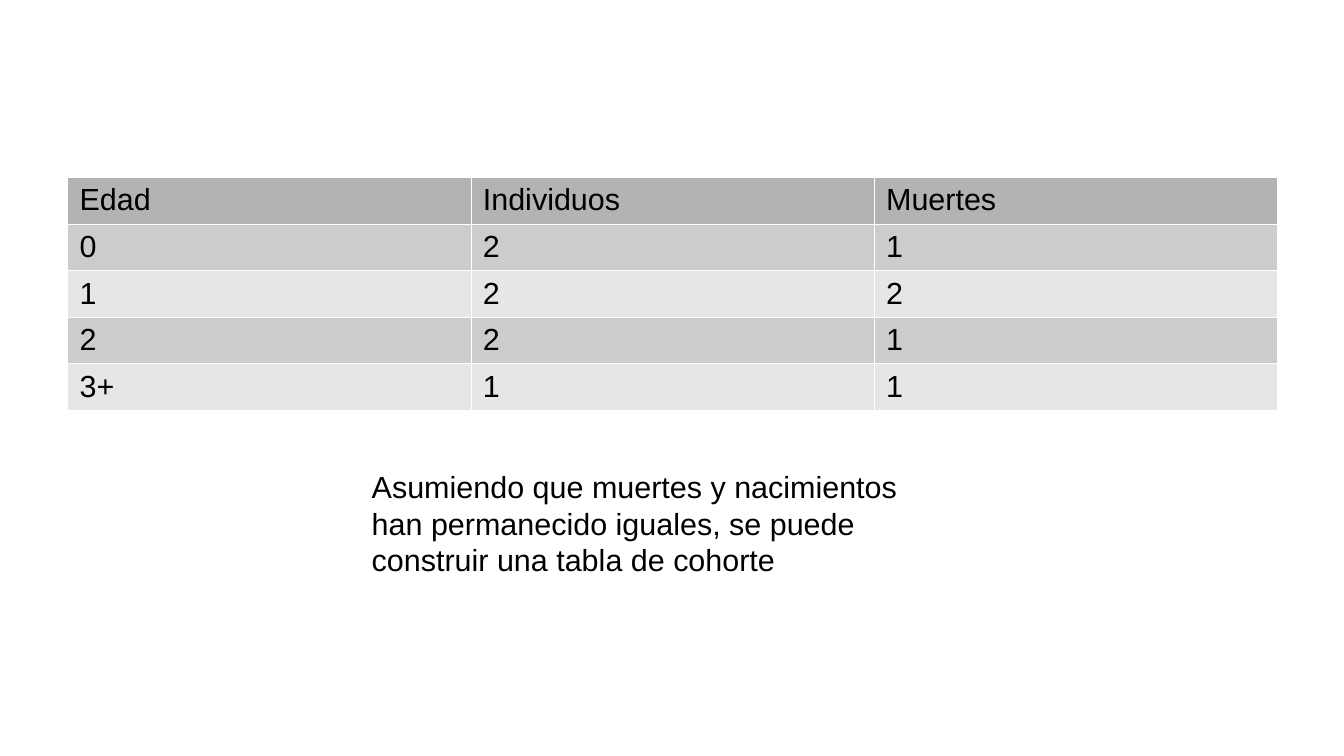
from lxml.etree import SubElement
from pptx import Presentation
from pptx.dml.color import RGBColor
from pptx.enum.text import MSO_AUTO_SIZE
from pptx.oxml.ns import qn
from pptx.util import Pt

COLORS = {
    "text": "000000",
    "border": "FFFFFF",
    "header": "B3B3B3",
    "odd": "CCCCCC",
    "even": "E6E6E6",
}
LIFE_TABLE = [
    ["Edad", "Individuos", "Muertes"],
    ["0", "2", "1"],
    ["1", "2", "2"],
    ["2", "2", "1"],
    ["3+", "1", "1"],
]
ASSUMPTION = (
    "Asumiendo que muertes y nacimientos han permanecido iguales, "
    "se puede construir una tabla de cohorte"
)


class SlideBuilder:
    font = "Arial"
    size = 18
    border_width = 0.06
    inset_x, inset_y = 7.2, 3.6

    def __init__(self, page):
        self.page = page

    def add_span(self, para, text):
        span = para.add_run()
        span.text = text
        span.font.name = self.font
        span.font.size = Pt(self.size)
        span.font.color.rgb = RGBColor.from_string(COLORS["text"])

    def set_insets(self, target):
        target.margin_left = target.margin_right = Pt(self.inset_x)
        target.margin_top = target.margin_bottom = Pt(self.inset_y)

    def add_borders(self, cell):
        properties = cell._tc.get_or_add_tcPr()
        for side in ("lnL", "lnR", "lnT", "lnB"):
            line = SubElement(properties, qn(f"a:{side}"), w=str(Pt(self.border_width)))
            fill = SubElement(line, qn("a:solidFill"))
            SubElement(fill, qn("a:srgbClr"), val=COLORS["border"])

    def add_table(self, rows, left, top, column_width, row_height):
        row_count, column_count = len(rows), len(rows[0])
        table = self.page.shapes.add_table(
            row_count, column_count, Pt(left), Pt(top),
            Pt(column_width * column_count), Pt(row_height * row_count),
        ).table
        for column in table.columns:
            column.width = Pt(column_width)
        for index, values in enumerate(rows):
            table.rows[index].height = Pt(row_height)
            shade = "header" if index == 0 else "odd" if index % 2 else "even"
            for cell, value in zip(table.rows[index].cells, values):
                self.set_insets(cell)
                self.add_borders(cell)
                cell.fill.solid()
                cell.fill.fore_color.rgb = RGBColor.from_string(COLORS[shade])
                self.add_span(cell.text_frame.paragraphs[0], value)

    def add_text(self, text, left, top, width, height):
        box = self.page.shapes.add_textbox(Pt(left), Pt(top), Pt(width), Pt(height))
        frame = box.text_frame
        frame.word_wrap = True
        frame.auto_size = MSO_AUTO_SIZE.SHAPE_TO_FIT_TEXT
        self.set_insets(frame)
        self.add_span(frame.paragraphs[0], text)


def main():
    deck = Presentation()
    deck.slide_width, deck.slide_height = Pt(793.44), Pt(446.4)
    builder = SlideBuilder(deck.slides.add_slide(deck.slide_layouts[6]))

    # Life table by age
    builder.add_table(LIFE_TABLE, left=39.8, top=104.6, column_width=238.1, row_height=27.5)

    # Assumption below the table
    builder.add_text(ASSUMPTION, left=212.4, top=272.9, width=342.7, height=67.7)

    deck.save("out.pptx")


if __name__ == "__main__":
    main()
